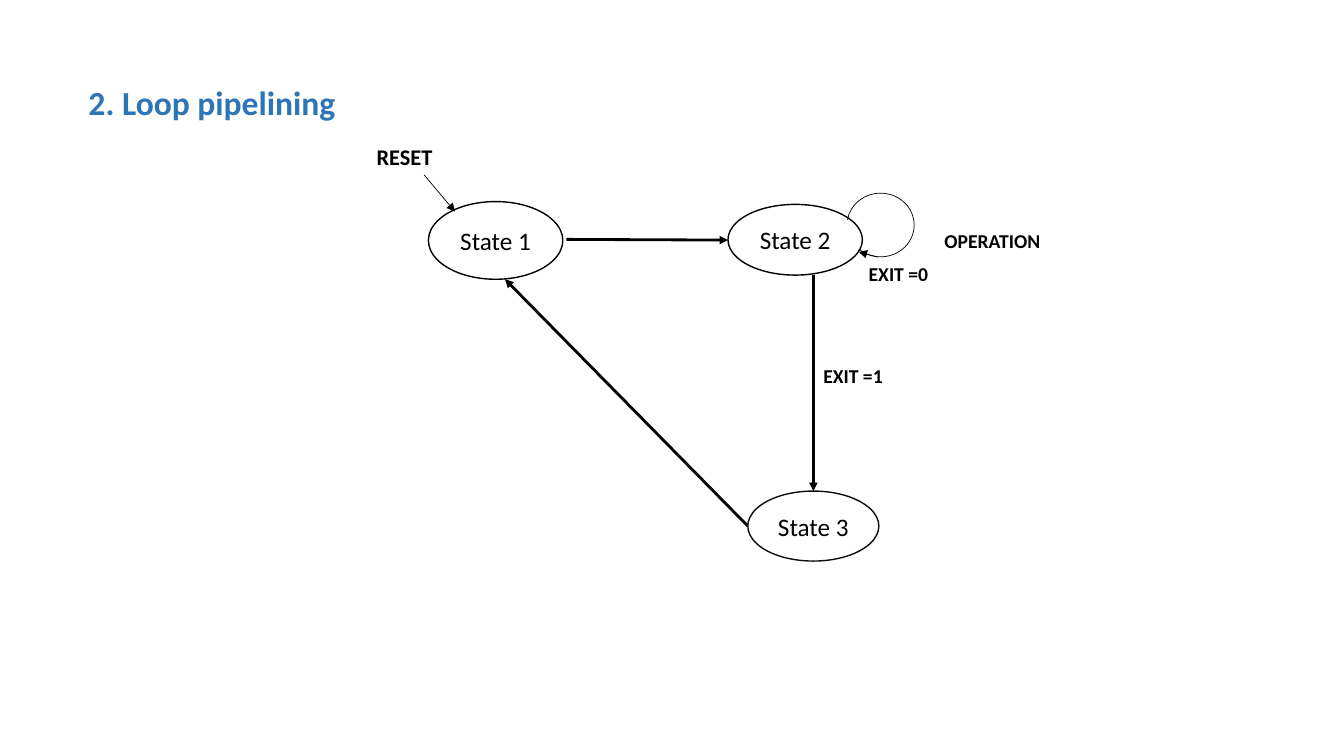
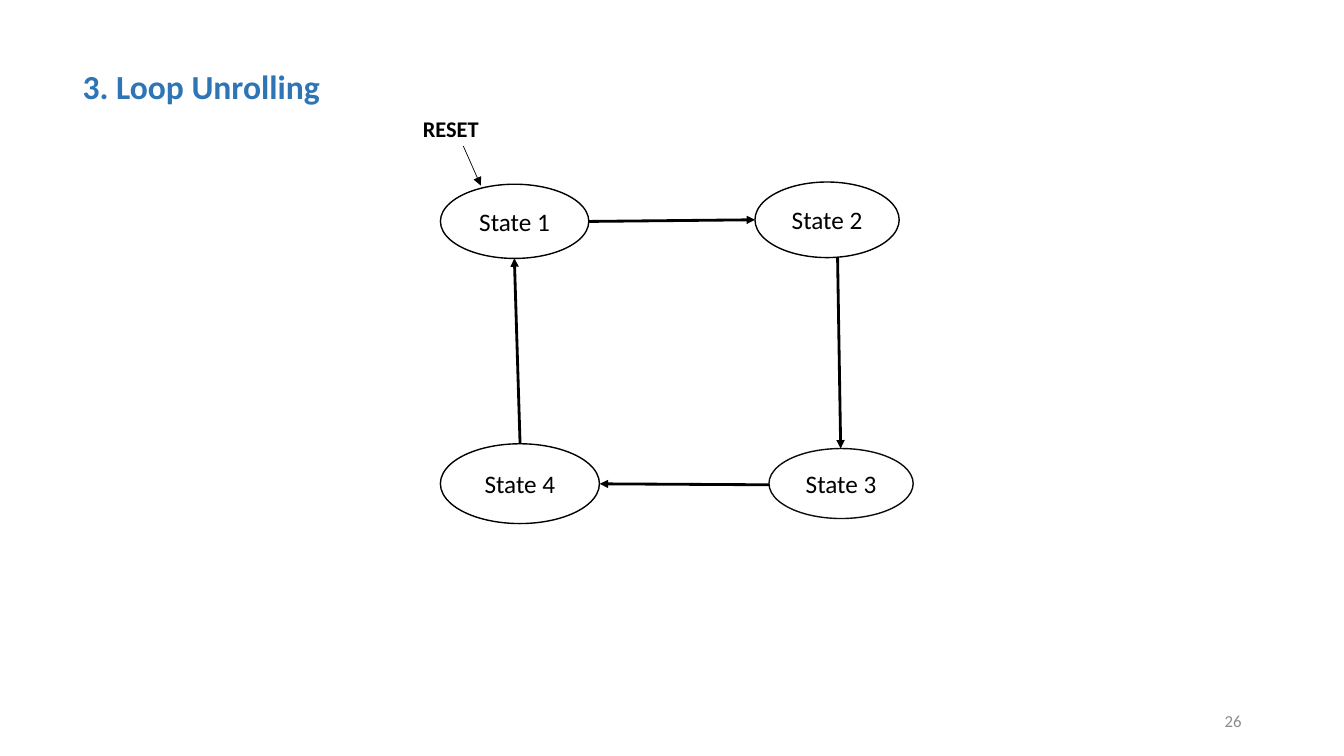
from lxml import etree
from pptx import Presentation
from pptx import util as u
from pptx.dml import color
from pptx.enum import shapes, text
from pptx.oxml import ns

BLACK, WHITE, BLUE, GREY = "000000", "FFFFFF", "2E75B6", "8C8C8C"
FACE = {"name": "Calibri", "bold": False}
HEAD = {**FACE, "size": u.Pt(24), "bold": True}
STATE = {**FACE, "size": u.Pt(18)}
RESET = {**FACE, "size": u.Pt(16), "bold": True}
LABEL = {**FACE, "size": u.Pt(14), "bold": True}
PAGE = {**FACE, "size": u.Pt(12)}
LEFT, MID, RIGHT = text.PP_ALIGN.LEFT, text.PP_ALIGN.CENTER, text.PP_ALIGN.RIGHT
THICK, THIN, EDGE = 2, 0.5, 1


def pts(*vals):
    return [u.Pt(val) for val in vals]


def paint(part, tone):
    part.rgb = color.RGBColor.from_string(tone)


def stroke(line, width, tone=BLACK):
    line.width = u.Pt(width)
    line.fill.solid()
    paint(line.color, tone)


def write(shape, words, style, tone=BLACK, align=LEFT, middle=False, wrap=True, gap=1.0):
    frame = shape.text_frame
    frame.text = words
    frame.word_wrap = wrap
    frame.auto_size = text.MSO_AUTO_SIZE.NONE
    frame.vertical_anchor = text.MSO_ANCHOR.MIDDLE if middle else text.MSO_ANCHOR.TOP
    para = frame.paragraphs[0]
    para.alignment = align
    para.line_spacing = gap
    font = para.runs[0].font
    for key, val in style.items():
        setattr(font, key, val)
    paint(font.color, tone)


def title(slide, words, box, gap=1.0):
    head = slide.shapes.title
    head.left, head.top, head.width, head.height = pts(*box)
    write(head, words, HEAD, BLUE, middle=True, gap=gap)


def label(slide, words, box, style=LABEL, **opts):
    write(slide.shapes.add_textbox(*pts(*box)), words, style, **opts)


def state(slide, num, box, edge=BLACK):
    oval = slide.shapes.add_shape(shapes.MSO_SHAPE.OVAL, *pts(*box))
    oval.shadow.inherit = False
    oval.fill.solid()
    paint(oval.fill.fore_color, WHITE)
    stroke(oval.line, EDGE, edge)
    write(oval, f"State {num}", STATE, align=MID, middle=True, wrap=False)


def arrow(slide, start, end, width=THICK):
    link = slide.shapes.add_connector(
        shapes.MSO_CONNECTOR.STRAIGHT, *pts(*start, *end))
    stroke(link.line, width)
    tip = etree.SubElement(link.line._get_or_add_ln(), ns.qn("a:tailEnd"))
    tip.set("type", "triangle")
    etree.SubElement(link._element.spPr, ns.qn("a:effectLst"))


def loop(slide, box, turns):
    arc = slide.shapes.add_shape(shapes.MSO_SHAPE.ARC, *pts(*box))
    arc.shadow.inherit = False
    arc.fill.background()
    stroke(arc.line, THIN)
    for spot, turn in enumerate(turns):
        arc.adjustments[spot] = turn


def piping(slide):
    title(slide, "2. Loop pipelining", (56, 42.5, 772, 64), gap=0.9)
    arrow(slide, (404.6, 171), (520, 171.5))
    arrow(slide, (534.2, 375.8), (360.7, 199.4))
    state(slide, 1, (306, 144, 96, 55.5))
    state(slide, 2, (520, 146, 96, 50.5))
    state(slide, 3, (534.2, 350.8, 93.6, 50), "0D0D0D")
    arrow(slide, (581, 196.5), (581, 350.8))
    arrow(slide, (303, 125), (325, 151.2), THIN)
    loop(slide, (605, 138, 48, 45.5), (113.51, 78.95))
    arrow(slide, (627, 183.6), (613.4, 180), THIN)
    label(slide, "RESET", (262, 98.6, 88, 26.6), RESET)
    for words, box in (
        ("OPERATION", (667.5, 160, 102, 24.5)),
        ("EXIT =0", (613.4, 183.6, 63.4, 24.5)),
        ("EXIT =1", (581, 256.5, 72, 24.5)),
    ):
        label(slide, words, box)


def rolling(slide):
    title(slide, "3. Loop Unrolling", (51.8, 43.5, 368.6, 36.4))
    label(slide, "RESET", (295, 78.5, 88, 26.6), RESET)
    state(slide, 1, (314.6, 131.6, 106, 53))
    state(slide, 2, (539.3, 130, 103, 54))
    state(slide, 3, (549.3, 320.4, 103, 50), "0D0D0D")
    state(slide, 4, (314.6, 317, 113.6, 57))
    arrow(slide, (331, 104.4), (343.4, 132.5), THIN)
    arrow(slide, (420.5, 158.2), (539.3, 157))
    arrow(slide, (598.3, 184.3), (600.5, 320.4))
    arrow(slide, (549.3, 346.3), (428.4, 345.6))
    arrow(slide, (371.5, 317), (367.4, 184.5))
    label(slide, "26", (678, 500.5, 216, 28.8), PAGE, tone=GREY, align=RIGHT, middle=True)


def main():
    deck = Presentation()
    deck.slide_width, deck.slide_height = pts(960, 540)
    for build in (piping, rolling):
        build(deck.slides.add_slide(deck.slide_layouts[5]))
    deck.save("out.pptx")


if __name__ == "__main__":
    main()
